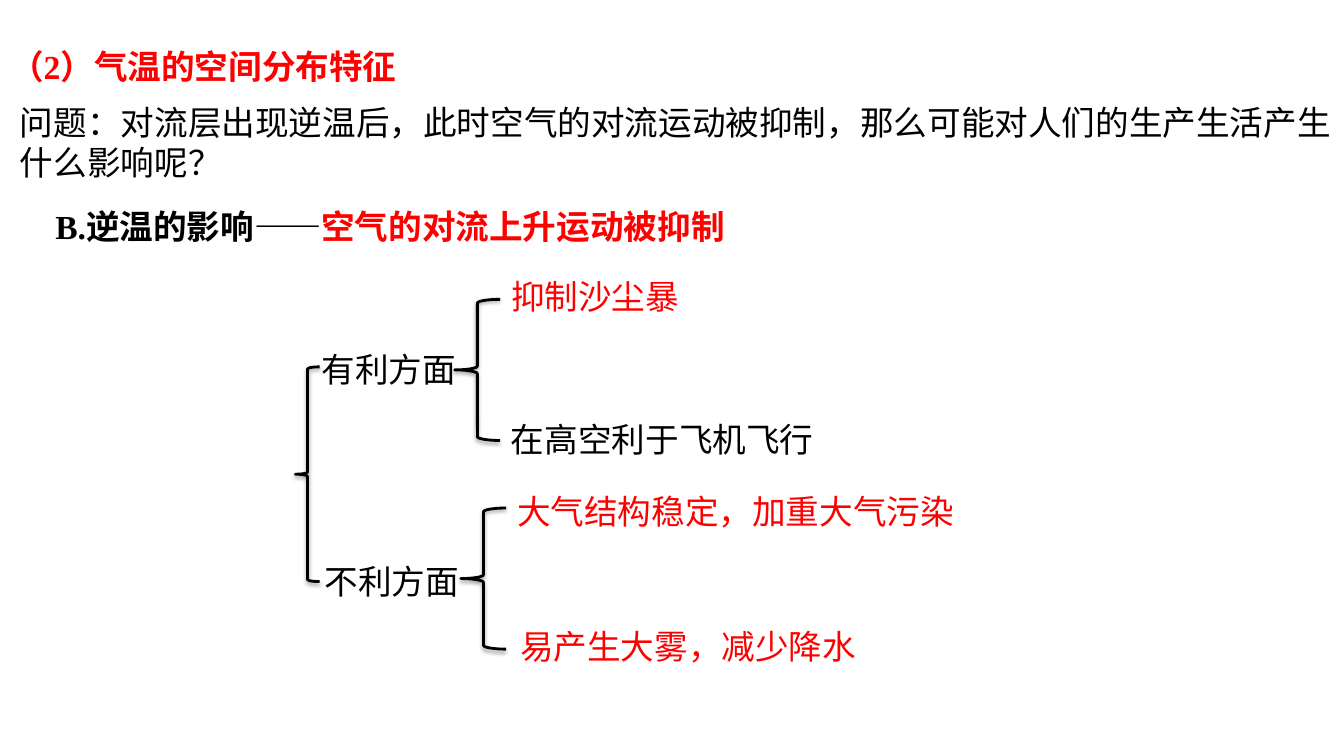
from dataclasses import dataclass

from lxml.etree import SubElement
from pptx import Presentation
from pptx.dml.color import RGBColor
from pptx.enum.shapes import MSO_SHAPE as Shape
from pptx.enum.text import MSO_ANCHOR as Anchor, MSO_AUTO_SIZE as AutoSize, PP_ALIGN as Align
from pptx.oxml.ns import qn
from pptx.util import Inches, Pt


@dataclass(frozen=True)
class Theme:
    ink: str = "000000"
    accent: str = "FF0000"
    serif: str = "Times New Roman"
    sans: str = "Arial"
    size: int = 24
    brace_line: float = 2


THEME = Theme()
WIDTH, HEIGHT = 13.33, 7.5
LINE_HEIGHT = 0.5
BRANCH_BRACE = (0.45, 1.4)

TITLE = [("（2）气温的空间分布特征", THEME.accent)]
QUESTION = [("问题：对流层出现逆温后，此时空气的对流运动被抑制，"
             "那么可能对人们的生产生活产生什么影响呢？", THEME.ink)]
HEADING = [("B.逆温的影响——", THEME.ink), ("空气的对流上升运动被抑制", THEME.accent)]

# Texts are (wording, colour, left, top, width); braces are (left, top)
ROOT_BRACE = (2.93, 3.64, 0.24, 2.13)
BRANCHES = [
    {
        "label": ("有利方面", THEME.ink, 3.09, 3.41, 1.55),
        "brace": (4.51, 2.97),
        "effects": [
            ("抑制沙尘暴", THEME.accent, 4.97, 2.69, 1.88),
            ("在高空利于飞机飞行", THEME.ink, 4.97, 4.11, 3.23),
        ],
    },
    {
        "label": ("不利方面", THEME.ink, 3.12, 5.52, 1.55),
        "brace": (4.57, 5.04),
        "effects": [
            ("大气结构稳定，加重大气污染", THEME.accent, 5.03, 4.82, 4.58),
            ("易产生大雾，减少降水", THEME.accent, 5.06, 6.16, 3.57),
        ],
    },
]


def write(box, spans, font, bold=False, wrap=True):
    frame = box.text_frame
    frame.word_wrap = wrap
    frame.auto_size = AutoSize.SHAPE_TO_FIT_TEXT
    frame.vertical_anchor = Anchor.TOP
    para = frame.paragraphs[0]
    para.alignment = Align.LEFT
    for wording, colour in spans:
        span = para.add_run()
        span.text = wording
        span.font.name = font
        span.font.size = Pt(THEME.size)
        span.font.bold = bold
        span.font.color.rgb = RGBColor.from_string(colour)


def add_text(page, place, spans, font, **style):
    box = page.shapes.add_textbox(*map(Inches, place))
    write(box, spans, font, **style)


def add_label(page, label):
    wording, colour, left, top, width = label
    add_text(page, (left, top, width, LINE_HEIGHT), [(wording, colour)],
             THEME.sans, wrap=False)


def add_brace(page, place):
    brace = page.shapes.add_shape(Shape.LEFT_BRACE, *map(Inches, place))
    brace.fill.background()
    brace.line.color.rgb = RGBColor.from_string(THEME.ink)
    brace.line.width = Pt(THEME.brace_line)
    add_soft_shadow(brace)


def add_soft_shadow(shape):
    shape.shadow.inherit = False
    effects = shape.element.spPr.find(qn("a:effectLst"))
    shadow = SubElement(effects, qn("a:outerShdw"), blurRad=str(Pt(3.1)),
                        dist=str(Pt(1.6)), dir="5400000", rotWithShape="0")
    colour = SubElement(shadow, qn("a:srgbClr"), val=THEME.ink)
    SubElement(colour, qn("a:alpha"), val="38000")


def main():
    deck = Presentation()
    deck.slide_width, deck.slide_height = Inches(WIDTH), Inches(HEIGHT)
    page = deck.slides.add_slide(deck.slide_layouts.get_by_name("Title Only"))

    title = page.shapes.title
    title.left, title.top, title.width, title.height = map(
        Inches, (0, 0.41, 12.52, LINE_HEIGHT))
    write(title, TITLE, THEME.serif, bold=True)
    add_text(page, (0.1, 0.96, 13.24, 0.91), QUESTION, THEME.sans)
    add_text(page, (0.45, 1.99, 12.44, LINE_HEIGHT), HEADING, THEME.serif, bold=True)

    add_brace(page, ROOT_BRACE)
    for branch in BRANCHES:
        add_brace(page, branch["brace"] + BRANCH_BRACE)
        for label in [branch["label"], *branch["effects"]]:
            add_label(page, label)

    deck.save("out.pptx")


if __name__ == "__main__":
    main()
